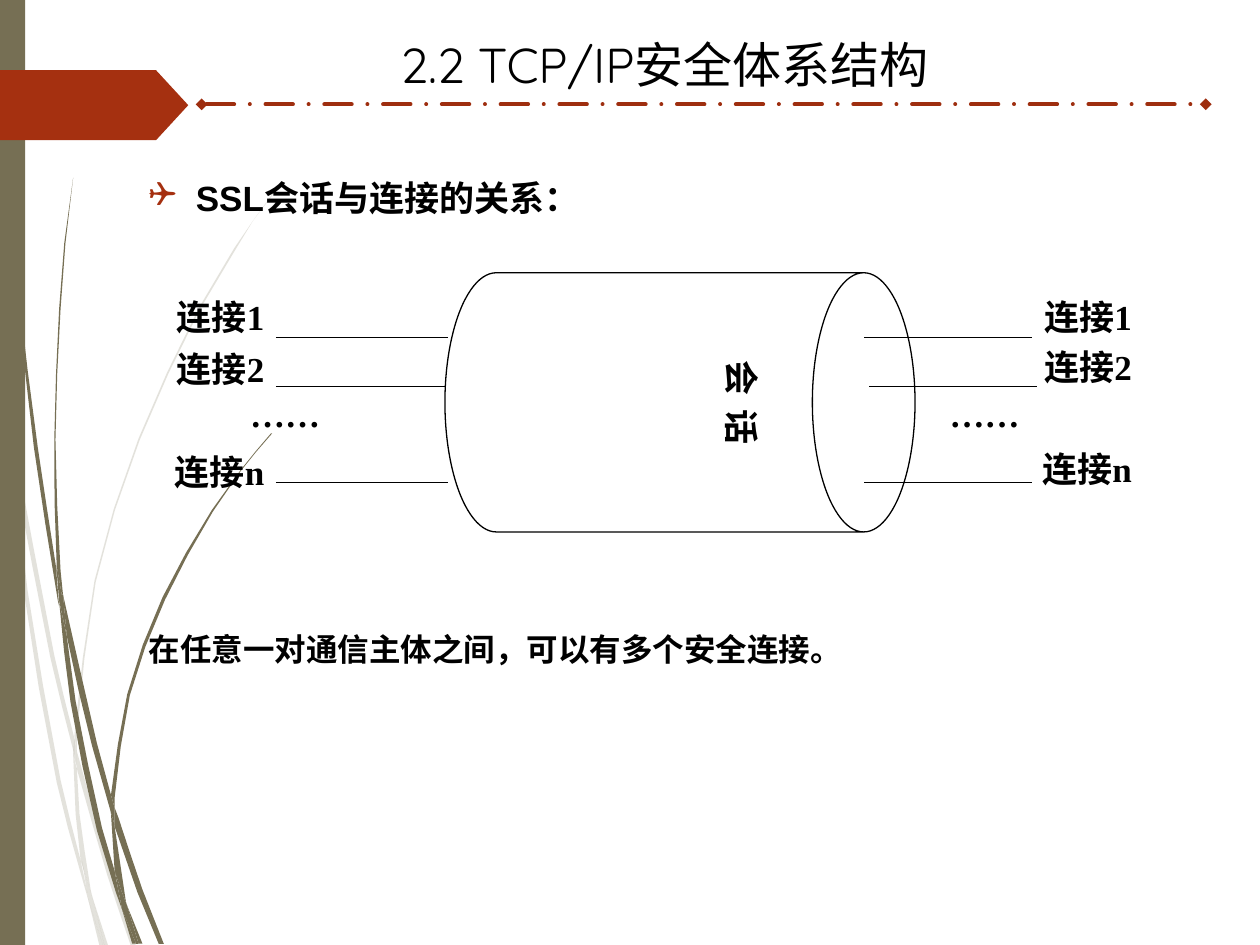
from dataclasses import dataclass
from math import dist

from lxml import etree
from pptx import Presentation
from pptx import util as u
from pptx.dml.color import RGBColor
from pptx.enum import dml, shapes, text
from pptx.oxml.ns import qn

COLORS = {"olive": "766F54", "rust": "A53010", "rule": "9E2E0F",
          "black": "000000", "white": "FFFFFF"}
SERIF = "Times New Roman"
LONG_STEP = 40
Points = list[tuple[float, float]]


@dataclass
class Wisp:
    """A grass blade piece, bounded by one edge out and one edge back."""
    out: Points
    back: Points


@dataclass
class Row:
    label: str
    left_top: float
    right_top: float
    line_y: float
    left_end: float = 255.8
    right_shift: float = 0


PALE_WISPS = [
    Wisp([(5.8, 252), (4.3, 231.8), (0, 203)], [(0, 215.3), (5, 247.7)]),
    Wisp([(8.6, 270.7), (28.8, 375.8), (42.5, 431.3)],
         [(42.5, 421.9), (31, 374.4), (7.2, 248.4)]),
    Wisp([(43.9, 439.2), (61.2, 499.7), (74.9, 540.7)],
         [(77.8, 540.7), (63.4, 498.2), (46.1, 437), (43.9, 429.1)]),
    Wisp([(52.6, 512), (59.8, 540.7)], [(61.9, 540.7), (52.6, 512)]),
    Wisp([(5.8, 252), (13.7, 338.4), (32.4, 447.1), (46.1, 499), (50.4, 514.1)],
         [(49.7, 509), (46.1, 491.8), (34.6, 445.7), (15.8, 337.7), (8.6, 270.7)]),
    Wisp([(41.8, 431.3), (43.2, 465.1), (46.1, 491.8), (48.2, 498.2), (52.6, 512)],
         [(51.8, 508.3), (45.4, 465.1), (43.9, 439.2)]),
    Wisp([(43.9, 429.1), (43.9, 420.5), (54.7, 332.6), (79.9, 251.3), (114.5, 176.4),
          (134.6, 142.6), (144.7, 126), (156.2, 110.9)],
         [(156.2, 110.2), (144.7, 126), (133.9, 141.8), (113.8, 175.7), (79.2, 250.6),
          (54, 331.9), (42.5, 420.5)]),
    Wisp([(50.4, 514.1), (56.9, 540.7)], [(59, 540.7), (50.4, 514.1)]),
    Wisp([(42.5, 421.9), (41.8, 431.3), (43.9, 437.8)], [(43.9, 439.2), (43.9, 429.1)]),
    Wisp([(46.8, 491.8), (49.7, 509), (50.4, 514.1), (59, 540.7)],
         [(59.8, 540.7), (52.6, 512), (48.2, 498.2)]),
]
DARK_WISPS = [
    Wisp([(1.4, 0), (2.2, 34.6), (3.6, 79.2), (10.1, 167.8), (19.4, 255.6),
          (33.1, 343.4), (33.8, 346.3)],
         [(32.4, 329), (32.4, 326.2), (21.6, 255.6), (10.8, 167), (4.3, 78.5),
          (2.9, 34.6), (2.2, 0)]),
    Wisp([(36, 339.8), (38.2, 363.6), (52.6, 426.2), (63.4, 464.4)],
         [(63.4, 454.3), (55.4, 424.8), (36, 339.8)]),
    Wisp([(65.5, 472.3), (78.5, 509.8), (90.7, 539.3)],
         [(93.6, 539.3), (81.4, 508.3), (67.7, 467.3), (65.5, 461.5)]),
    Wisp([(33.8, 343.4), (40.3, 401), (55.4, 474.5), (66.2, 509.8), (69.8, 519.8)],
         [(69.1, 516.2), (65.5, 497.5), (58.3, 473), (43.2, 400.3), (38.2, 363.6)]),
    Wisp([(36, 339.8), (34.6, 326.2), (31.7, 251.3), (34.6, 176.4), (37.4, 139),
          (41.8, 101.5)],
         [(36.7, 139), (33.8, 176.4), (31, 251.3), (32.4, 323.3), (35.3, 339.8)]),
    Wisp([(72.7, 517.7), (79.2, 539.3)], [(81.4, 539.3), (72.7, 517.7)]),
    Wisp([(32.4, 323.3), (32.4, 326.2), (33.8, 343.4), (38.2, 363.6)],
         [(36, 339.8), (35.3, 339.8)]),
    Wisp([(65.5, 461.5), (65.5, 455.8), (74.2, 397.4), (94.3, 342.7), (121.7, 292.3),
          (137.5, 269.3), (146.2, 258.5), (155.5, 247.7)],
         [(154.8, 247.7), (146.2, 257.8), (137.5, 268.6), (121, 291.6), (92.9, 341.3),
          (72.7, 396.7), (63.4, 454.3)]),
    Wisp([(69.8, 519.8), (75.6, 539.3)], [(77.8, 539.3), (69.8, 519.8)]),
    Wisp([(63.4, 464.4), (65.5, 497.5), (69.1, 508.3), (72.7, 517.7)],
         [(72, 515.5), (65.5, 472.3), (64.8, 468.7)]),
    Wisp([(63.4, 454.3), (63.4, 464.4), (64.8, 468.7), (65.5, 472.3)], [(65.5, 461.5)]),
    Wisp([(65.5, 497.5), (69.1, 516.2), (69.8, 519.8), (77.8, 539.3)],
         [(79.2, 539.3), (72.7, 517.7), (69.1, 508.3)]),
]
ROWS = [
    Row("连接1", 165.6, 165.6, 193),
    Row("连接2", 195.1, 193.7, 220.9, left_end=254.2, right_shift=2.9),
    Row("连接n", 253.8, 252, 275.9),
]


def rgb(name: str) -> RGBColor:
    return RGBColor.from_string(COLORS[name])


def paint(sp, fill: str, line: str | None = None, opacity: int = 100) -> None:
    sp.shadow.inherit = False
    sp.fill.solid()
    sp.fill.fore_color.rgb = rgb(fill)
    if opacity < 100:
        clr = sp.fill._xPr.find(".//" + qn("a:srgbClr"))
        etree.SubElement(clr, qn("a:alpha"), val=str(opacity * 1000))
    if line:
        sp.line.color.rgb = rgb(line)
        sp.line.width = u.Pt(0.75)
    else:
        sp.line.fill.background()


def smooth(edge: Points) -> Points:
    """Add a midpoint to each long step, bulging as its neighbours bend."""
    last = len(edge) - 1

    def tangent(i: int) -> list[float]:
        a, b = max(i - 1, 0), min(i + 1, last)
        chord = sum(dist(edge[k], edge[k + 1]) for k in range(a, b))
        return [(q - p) / chord for p, q in zip(edge[a], edge[b])]

    curve = edge[:1]
    for i in range(last):
        d = dist(edge[i], edge[i + 1])
        if d > LONG_STEP:
            curve.append(tuple(
                (p + q) / 2 + d * (a - b) / 8
                for p, q, a, b in zip(edge[i], edge[i + 1], tangent(i), tangent(i + 1))))
        curve.append(edge[i + 1])
    return curve


def add_wisp(s, wisp: Wisp, opacity: int) -> None:
    outline = [(u.Pt(x), u.Pt(y)) for x, y in smooth(wisp.out) + smooth(wisp.back)]
    builder = s.shapes.build_freeform(*outline[0])
    builder.add_line_segments(outline[1:], close=True)
    paint(builder.convert_to_shape(), "olive", opacity=opacity)


def add_line(s, x1: float, x2: float, y: float, color: str = "black", width: float = 0.75):
    cx = s.shapes.add_connector(shapes.MSO_CONNECTOR.STRAIGHT, *map(u.Pt, (x1, y, x2, y)))
    cx.line.color.rgb = rgb(color)
    cx.line.width = u.Pt(width)
    etree.SubElement(cx._element.spPr, qn("a:effectLst"))
    return cx


def write(tf, content: str, *, size: float = 20, font: str = SERIF, bold: bool = True,
          align=text.PP_ALIGN.LEFT, anchor=text.MSO_ANCHOR.TOP):
    tf.word_wrap = True
    tf.vertical_anchor = anchor
    p = tf.paragraphs[0]
    p.alignment = align
    r = p.add_run()
    r.text = content
    r.font.size, r.font.name, r.font.bold = u.Pt(size), font, bold
    r.font.color.rgb = rgb("black")
    return p


def add_text(s, content: str, x: float, y: float, w: float, h: float, **fmt):
    return write(s.shapes.add_textbox(*map(u.Pt, (x, y, w, h))).text_frame, content, **fmt)


def indent(p, left: float, first: float = 0):
    pPr = p._p.get_or_add_pPr()
    pPr.set("marL", str(u.Pt(left)))
    pPr.set("indent", str(u.Pt(first)))
    return pPr


def add_shape(s, kind, x: float, y: float, w: float, h: float):
    return s.shapes.add_shape(kind, *map(u.Pt, (x, y, w, h)))


def add_backdrop(s) -> None:
    for wisps, opacity in ((PALE_WISPS, 20), (DARK_WISPS, 100)):
        for wisp in wisps:
            add_wisp(s, wisp, opacity)
    paint(add_shape(s, shapes.MSO_SHAPE.RECTANGLE, 0, 0, 14.4, 540), "olive")
    tag = add_shape(s, shapes.MSO_SHAPE.PENTAGON, 0, 40.1, 107.6, 40)
    tag.adjustments[0] = 0.46
    paint(tag, "rust")
    rule = add_line(s, 115.2, 689, 59.6, "rule", 2.25)
    rule.line.dash_style = dml.MSO_LINE.LONG_DASH_DOT
    ln = rule.line._get_or_add_ln()
    ln.set("cap", "rnd")
    for end in ("a:headEnd", "a:tailEnd"):
        etree.SubElement(ln, qn(end), type="diamond")


def add_session(s) -> None:
    can = add_shape(s, shapes.MSO_SHAPE.CAN, 314.5, 95.6, 148.1, 268.6)
    can.rotation = 90
    can.adjustments[0] = 0.396
    paint(can, "white", "black")
    can.text_frame.margin_top = u.Pt(28)
    p = write(can.text_frame, "会 话", align=text.PP_ALIGN.CENTER)
    p.runs[0].font._element.set("spc", "180")


def add_connections(s) -> None:
    box, right = (79.9, 55.4), {"align": text.PP_ALIGN.RIGHT}
    for row in ROWS:
        add_line(s, 157.7, row.left_end, row.line_y)
        add_line(s, 493.9 + row.right_shift, 589.7 + row.right_shift, row.line_y)
        add_text(s, row.label, 78.2, row.left_top, *box, **right)
        add_text(s, row.label, 574, row.right_top, *box, **right)
    for x in (110.2, 509.8):
        add_text(s, "……", x, 221, *box, **right)


def main() -> None:
    prs = Presentation()
    prs.slide_width, prs.slide_height = u.Pt(720), u.Pt(540)
    s = prs.slides.add_slide(prs.slide_layouts[6])
    add_backdrop(s)
    add_session(s)
    add_connections(s)
    heading = add_text(s, "SSL会话与连接的关系：", 77.8, 97.2, 268.6, 32.4, font="Arial")
    pPr = indent(heading, 27, -27)
    color = etree.SubElement(pPr, qn("a:buClr"))
    etree.SubElement(color, qn("a:srgbClr"), val=COLORS["rust"])
    etree.SubElement(pPr, qn("a:buFont"), typeface="Wingdings")
    etree.SubElement(pPr, qn("a:buChar"), char="❑")
    add_text(s, "在任意一对通信主体之间，可以有多个安全连接。", 77.8, 352.8, 551.5, 36,
             size=18, font="Quicksand", anchor=text.MSO_ANCHOR.MIDDLE)
    title = add_text(s, "2.2 TCP/IP安全体系结构", 153.9, 16.2, 415.4, 41, size=28,
                     font="Quicksand", bold=False, align=text.PP_ALIGN.CENTER)
    indent(title, 36)
    prs.save("out.pptx")


if __name__ == "__main__":
    main()
